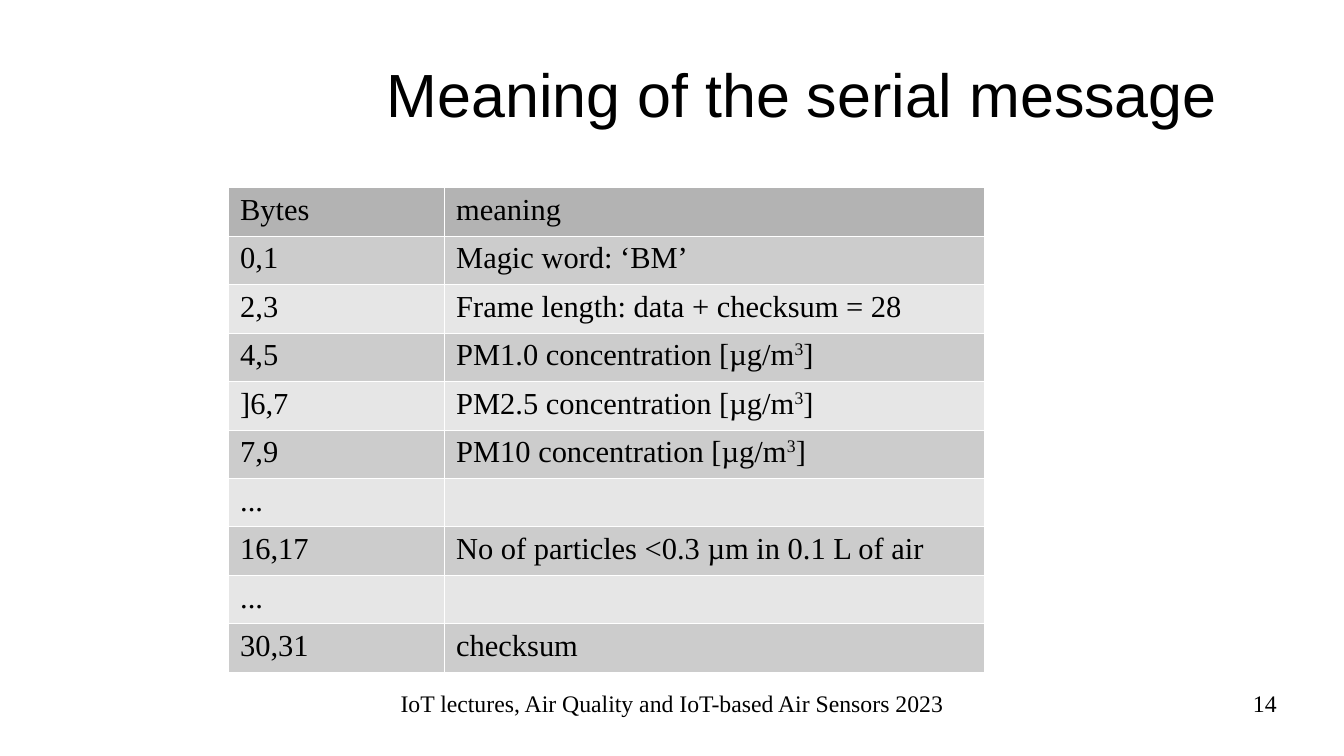
"""Build the slide that explains the bytes of the serial message."""
from dataclasses import dataclass

from lxml.etree import SubElement
from pptx import Presentation
from pptx.dml.color import RGBColor
from pptx.enum.text import MSO_ANCHOR, MSO_AUTO_SIZE, PP_ALIGN
from pptx.oxml.ns import qn
from pptx.util import Cm, Pt


@dataclass(frozen=True)
class Theme:
    heading_font: str = "Arial"
    body_font: str = "Times New Roman"
    title_size: int = 36
    body_size: int = 18
    footer_size: int = 14
    text: str = "000000"
    border: str = "FFFFFF"
    header: str = "B3B3B3"
    bands: tuple[str, str] = ("CCCCCC", "E6E6E6")


@dataclass(frozen=True)
class Box:
    left: float
    top: float
    width: float
    height: float

    def cm(self) -> tuple[Cm, Cm, Cm, Cm]:
        return Cm(self.left), Cm(self.top), Cm(self.width), Cm(self.height)


@dataclass(frozen=True)
class Field:
    bytes: str
    meaning: str = ""


@dataclass(frozen=True)
class Footer:
    text: str
    box: Box
    align: PP_ALIGN


THEME = Theme()
TITLE_BOX = Box(6.83, 0.64, 19.76, 2.62)
COLUMNS = (4.5, 11.26)
ROW_HEIGHT = 1.01
FIELDS = (
    Field("Bytes", "meaning"),
    Field("0,1", "Magic word: ‘BM’"),
    Field("2,3", "Frame length: data + checksum = 28"),
    Field("4,5", "PM1.0 concentration [µg/m^3^]"),
    Field("]6,7", "PM2.5 concentration [µg/m^3^]"),
    Field("7,9", "PM10 concentration [µg/m^3^]"),
    Field("..."),
    Field("16,17", "No of particles <0.3 µm in 0.1 L of air"),
    Field("..."),
    Field("30,31", "checksum"),
)
TABLE_BOX = Box(4.75, 3.9, sum(COLUMNS), ROW_HEIGHT * len(FIELDS))
FOOTERS = (
    Footer("IoT lectures, Air Quality and IoT-based Air Sensors 2023",
           Box(7.92, 14.35, 12.17, 1.09), PP_ALIGN.CENTER),
    Footer("14", Box(20.07, 14.35, 6.53, 1.09), PP_ALIGN.RIGHT),
)


def write(tf, text: str, *, size: int, font: str = THEME.body_font,
          align: PP_ALIGN = PP_ALIGN.LEFT) -> None:
    """Write one paragraph, raising the parts between carets."""
    p = tf.paragraphs[0]
    p.alignment = align
    for i, part in enumerate(text.split("^")):
        r = p.add_run()
        r.text = part
        r.font.size = Pt(size)
        r.font.name = font
        r.font.color.rgb = RGBColor.from_string(THEME.text)
        if i % 2:
            r.font._element.set("baseline", "33000")


def clear_frame(tf, anchor: MSO_ANCHOR) -> None:
    """Wrap the text in a frame without margins."""
    tf.word_wrap = True
    tf.auto_size = MSO_AUTO_SIZE.NONE
    tf.vertical_anchor = anchor
    tf.margin_left = tf.margin_right = tf.margin_top = tf.margin_bottom = 0


def add_title(slide, text: str) -> None:
    """Place and format the title placeholder."""
    sp = slide.shapes.title
    sp.left, sp.top, sp.width, sp.height = TITLE_BOX.cm()
    clear_frame(sp.text_frame, MSO_ANCHOR.MIDDLE)
    write(sp.text_frame, text, size=THEME.title_size,
          font=THEME.heading_font, align=PP_ALIGN.CENTER)


def style_cell(cell, fill: str) -> None:
    """Give a cell hairline borders and a solid fill."""
    tc_pr = cell._tc.get_or_add_tcPr()
    for side in ("a:lnL", "a:lnR", "a:lnT", "a:lnB"):
        ln = SubElement(tc_pr, qn(side), w="720")
        SubElement(SubElement(ln, qn("a:solidFill")), qn("a:srgbClr"), val=THEME.border)
    cell.fill.solid()
    cell.fill.fore_color.rgb = RGBColor.from_string(fill)


def add_fields(slide, fields: tuple[Field, ...]) -> None:
    """Add the table of message fields."""
    table = slide.shapes.add_table(len(fields), len(COLUMNS), *TABLE_BOX.cm()).table
    table.first_row = table.horz_banding = False
    for column, width in zip(table.columns, COLUMNS):
        column.width = Cm(width)
    for i, (row, field) in enumerate(zip(table.rows, fields)):
        row.height = Cm(ROW_HEIGHT)
        fill = THEME.bands[(i - 1) % 2] if i else THEME.header
        for cell, text in zip(row.cells, (field.bytes, field.meaning)):
            style_cell(cell, fill)
            write(cell.text_frame, text, size=THEME.body_size)


def add_footer(slide, footer: Footer) -> None:
    """Add one text at the foot of the slide."""
    tf = slide.shapes.add_textbox(*footer.box.cm()).text_frame
    clear_frame(tf, MSO_ANCHOR.TOP)
    write(tf, footer.text, size=THEME.footer_size, align=footer.align)


def main() -> None:
    """Build and save the presentation."""
    prs = Presentation()
    prs.slide_width, prs.slide_height = Cm(28), Cm(15.75)
    slide = prs.slides.add_slide(prs.slide_layouts.get_by_name("Title Only"))
    add_title(slide, "Meaning of the serial message")
    add_fields(slide, FIELDS)
    for footer in FOOTERS:
        add_footer(slide, footer)
    prs.save("out.pptx")


if __name__ == "__main__":
    main()
